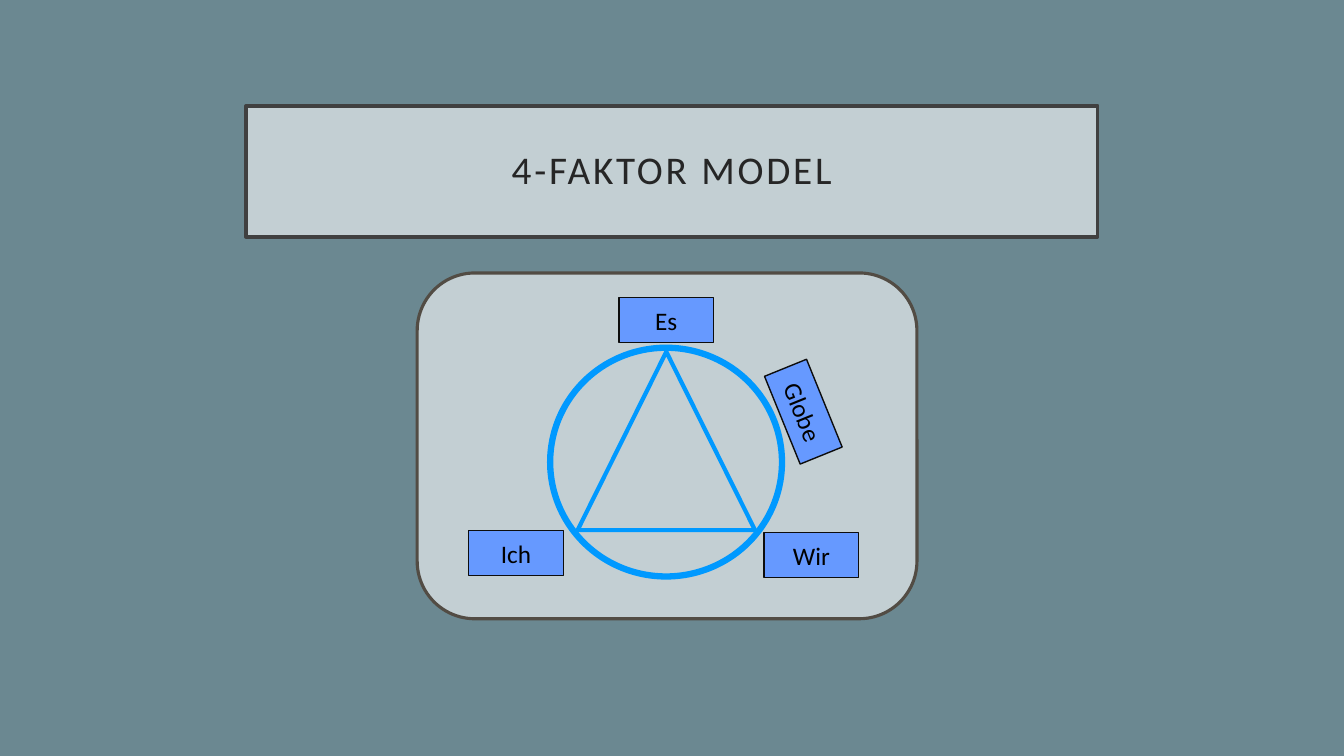
"""Build the 4-factor model slide: a triangle in a circle with its labelled factors."""
from pptx import Presentation
from pptx.dml.color import RGBColor
from pptx.enum.shapes import MSO_SHAPE as SHAPE
from pptx.enum.text import MSO_ANCHOR, PP_ALIGN
from pptx.util import Pt

BACKGROUND = RGBColor(0x6B, 0x88, 0x91)
PANEL = RGBColor(0xC3, 0xCF, 0xD3)
PANEL_LINE = RGBColor(0x52, 0x4C, 0x44)
TITLE_LINE = RGBColor(0x40, 0x40, 0x40)
TITLE_TEXT = RGBColor(0x26, 0x26, 0x26)
BLUE = RGBColor(0x00, 0x99, 0xFF)
LABEL = RGBColor(0x66, 0x99, 0xFF)
LABEL_LINE = RGBColor(0x0D, 0x0D, 0x0D)
BLACK = RGBColor(0, 0, 0)

TITLE = "4-FAKTOR MODEL"
FACTORS = [
    ("Globe", 573.8, 294.1, 67.9),
    ("Es", 475.9, 228.6, 0),
    ("Ich", 368.6, 395, 0),
    ("Wir", 579.6, 396.4, 0),
]
LABEL_W, LABEL_H = 67.7, 32.4


def add_figure(kind, box, line, width, fill=None):
    sp = s.shapes.add_shape(kind, *(Pt(v) for v in box))
    sp.shadow.inherit = False
    if fill is None:
        sp.fill.background()
    else:
        sp.fill.solid()
        sp.fill.fore_color.rgb = fill
    sp.line.color.rgb = line
    sp.line.width = Pt(width)
    return sp


def write(sp, text, size=18, color=BLACK, spacing=0, inset=0):
    tf = sp.text_frame
    tf.word_wrap = True
    tf.vertical_anchor = MSO_ANCHOR.MIDDLE
    tf.margin_left = tf.margin_right = tf.margin_top = tf.margin_bottom = Pt(inset)
    p = tf.paragraphs[0]
    p.alignment = PP_ALIGN.CENTER
    r = p.add_run()
    r.text = text
    r.font.name = "Calibri"
    r.font.size = Pt(size)
    r.font.color.rgb = color
    if spacing:
        r.font._element.set("spc", str(spacing * 100))


prs = Presentation()
prs.slide_width, prs.slide_height = Pt(960), Pt(540)
s = prs.slides.add_slide(prs.slide_layouts[6])
s.background.fill.solid()
s.background.fill.fore_color.rgb = BACKGROUND

add_figure(SHAPE.ROUNDED_RECTANGLE, (298, 195, 357, 247), PANEL_LINE, 2.25, PANEL)
title = add_figure(SHAPE.RECTANGLE, (175.7, 75.6, 608.4, 93.6), TITLE_LINE, 2.5, PANEL)
write(title, TITLE, size=28, color=TITLE_TEXT, spacing=2, inset=14.4)
title.text_frame.paragraphs[0].line_spacing = 0.9

add_figure(SHAPE.OVAL, (393, 248.4, 165.6, 163.4), BLUE, 4.5)
add_figure(SHAPE.ISOSCELES_TRIANGLE, (412.6, 251.3, 126.7, 127.4), BLUE, 3)

for name, x, y, angle in FACTORS:
    box = (x - LABEL_W / 2, y - LABEL_H / 2, LABEL_W, LABEL_H)
    label = add_figure(SHAPE.RECTANGLE, box, LABEL_LINE, 1, LABEL)
    label.rotation = angle
    write(label, name)

prs.save("out.pptx")
